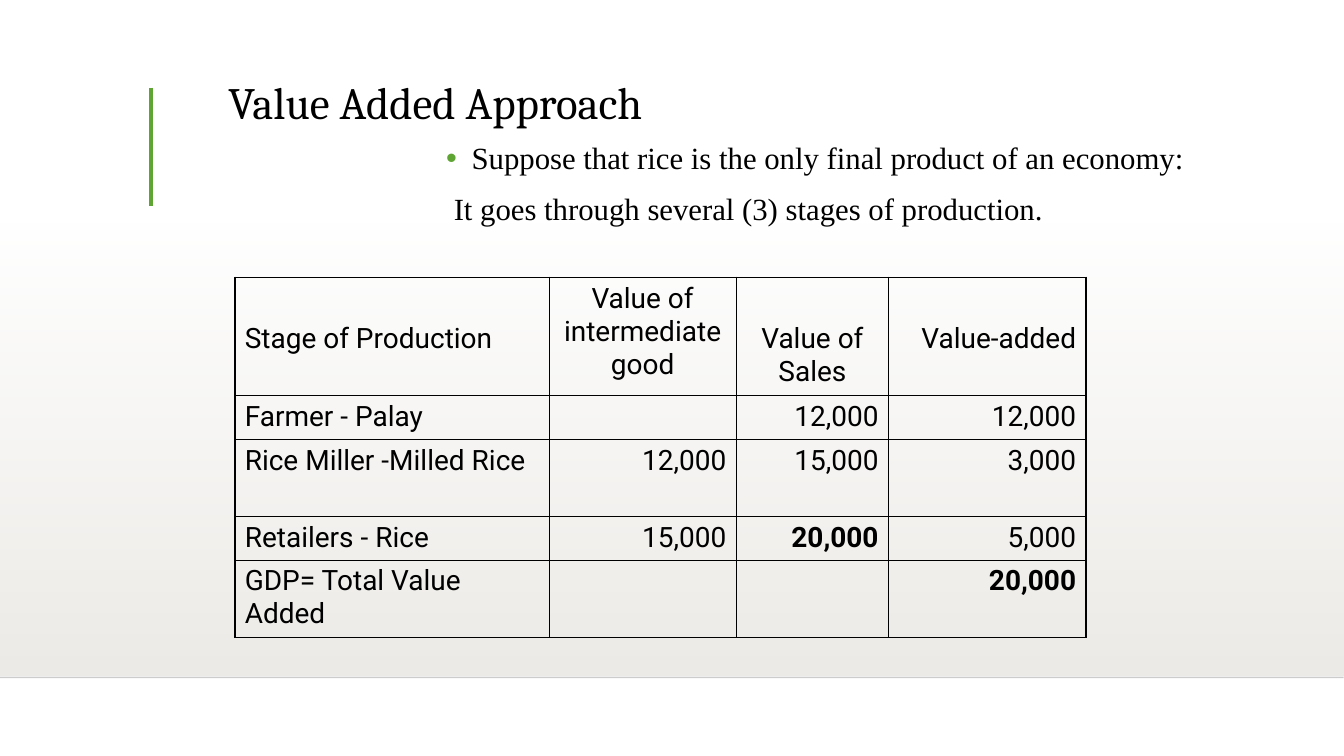
from dataclasses import dataclass
from typing import Any, Optional

import lxml.etree
import pptx
import pptx.dml.color
import pptx.enum.dml
import pptx.enum.shapes
import pptx.enum.text
import pptx.oxml.ns
import pptx.util

Cm = pptx.util.Cm
Pt = pptx.util.Pt
RGB = pptx.dml.color.RGBColor.from_string
qn = pptx.oxml.ns.qn
Align = pptx.enum.text.PP_ALIGN
Anchor = pptx.enum.text.MSO_ANCHOR


@dataclass(frozen=True)
class Theme:
    ink: str = "000000"
    accent: str = "5FA534"
    floor: str = "EDEBE7"
    title_font: str = "Cambria"
    body_font: str = "Times New Roman"
    table_font: str = "Roboto"
    title_size: float = 32
    body_size: float = 22
    table_size: float = 20
    outer_border: float = 1.08
    inner_border: float = 0.45


@dataclass(frozen=True)
class Rule:
    start: tuple[float, float]
    end: tuple[float, float]
    color: str
    width: float
    opacity: Optional[int] = None


@dataclass(frozen=True)
class Line:
    text: str
    font: str
    size: float
    format: dict[str, Any]
    indent: Optional[tuple[float, float]] = None
    bullet: bool = False


@dataclass(frozen=True)
class TextBlock:
    box: tuple[float, float, float, float]
    anchor: Any
    lines: tuple[Line, ...]


@dataclass(frozen=True)
class Entry:
    text: str = ""
    align: Any = Align.RIGHT
    bold: bool = False
    top: float = 0.13


THEME = Theme()
SLIDE_WIDTH, SLIDE_HEIGHT = 33.88, 19.05
LOWERED = 1.14  # top inset of header cells that start on the second line

RULES = (
    Rule((0, 17.07), (33.87, 17.07), THEME.ink, 1, opacity=20),
    Rule((3.81, 2.21), (3.81, 5.18), THEME.accent, 3),
)

TITLE = TextBlock((5.51, -0.43, 22.86, 3.81), Anchor.BOTTOM, (
    Line("Value Added Approach", THEME.title_font, THEME.title_size, {"line_spacing": 0.9}),
))
PREMISE = TextBlock((11, 3.38, 22.86, 2.54), Anchor.TOP, (
    Line("Suppose that rice is the only final product of an economy:",
         THEME.body_font, THEME.body_size, {"alignment": Align.JUSTIFY},
         indent=(0.64, -0.64), bullet=True),
    Line("It goes through several (3) stages of production.",
         THEME.body_font, THEME.body_size,
         {"alignment": Align.JUSTIFY, "space_before": Pt(10)}, indent=(0.83, -0.64)),
))

STAGES_AT = (5.92, 6.99)
COLUMN_WIDTHS = (7.92, 4.72, 3.84, 4.98)
ROW_HEIGHTS = (2.97, 1.09, 1.93, 1.09, 1.96)
STAGES = (
    (Entry("Stage of Production", Align.LEFT, top=LOWERED),
     Entry("Value of intermediate good", Align.CENTER),
     Entry("Value of Sales", Align.CENTER, top=LOWERED),
     Entry("Value-added", top=LOWERED)),
    (Entry("Farmer - Palay", Align.LEFT), Entry(), Entry("12,000"), Entry("12,000")),
    (Entry("Rice Miller -Milled Rice", Align.LEFT),
     Entry("12,000"), Entry("15,000"), Entry("3,000")),
    (Entry("Retailers - Rice", Align.LEFT),
     Entry("15,000"), Entry("20,000", bold=True), Entry("5,000")),
    (Entry("GDP= Total Value Added", Align.LEFT),
     Entry(), Entry(), Entry("20,000", bold=True)),
)


def apply(target: Any, values: dict[str, Any]) -> None:
    for name, value in values.items():
        setattr(target, name, value)


def add_child(parent: Any, tag: str, **attributes: str) -> Any:
    return lxml.etree.SubElement(parent, qn(tag), attributes)


def set_opacity(color: Any, percent: int) -> None:
    add_child(color, "a:alpha", val=str(percent * 1000))


def style_run(run: Any, font: str, size: float, bold: bool = False) -> None:
    apply(run.font, {"name": font, "size": Pt(size), "bold": bold})
    run.font.color.rgb = RGB(THEME.ink)


def draw_backdrop(slide: Any) -> None:
    backdrop = slide.shapes.add_shape(
        pptx.enum.shapes.MSO_SHAPE.RECTANGLE, Cm(0), Cm(5.59), Cm(33.87), Cm(11.43))
    backdrop.shadow.inherit = False
    backdrop.line.fill.background()
    backdrop.fill.gradient()
    backdrop.fill.gradient_angle = 270
    for stop, position in zip(backdrop.fill.gradient_stops, (0, 1)):
        stop.color.rgb = RGB(THEME.floor)
        stop.position = position
    set_opacity(backdrop._element.spPr.find(".//" + qn("a:srgbClr")), 0)


def draw_rule(slide: Any, rule: Rule) -> None:
    connector = slide.shapes.add_connector(
        pptx.enum.shapes.MSO_CONNECTOR.STRAIGHT, *map(Cm, rule.start + rule.end))
    connector.line.color.rgb = RGB(rule.color)
    connector.line.width = Pt(rule.width)
    properties = connector._element.spPr
    if rule.opacity is not None:
        set_opacity(properties.find(".//" + qn("a:srgbClr")), rule.opacity)
    add_child(properties, "a:effectLst")


def draw_text(slide: Any, block: TextBlock) -> None:
    frame = slide.shapes.add_textbox(*map(Cm, block.box)).text_frame
    apply(frame, {"word_wrap": True, "vertical_anchor": block.anchor})
    for index, line in enumerate(block.lines):
        paragraph = frame.add_paragraph() if index else frame.paragraphs[0]
        apply(paragraph, line.format)
        properties = paragraph._p.get_or_add_pPr()
        if line.indent:
            for name, length in zip(("marL", "indent"), line.indent):
                properties.set(name, str(Cm(length)))
        if line.bullet:
            add_child(add_child(properties, "a:buClr"), "a:srgbClr", val=THEME.accent)
            add_child(properties, "a:buFont", typeface="Arial")
            add_child(properties, "a:buChar", char="•")
        run = paragraph.add_run()
        run.text = line.text
        style_run(run, line.font, line.size)


def draw_borders(cell: Any, outer_sides: dict[str, bool]) -> None:
    properties = cell._tc.get_or_add_tcPr()
    for side, is_outer in outer_sides.items():
        width = THEME.outer_border if is_outer else THEME.inner_border
        border = add_child(properties, f"a:ln{side}", w=str(Pt(width)))
        add_child(add_child(border, "a:solidFill"), "a:srgbClr", val=THEME.ink)


def draw_stages(slide: Any) -> None:
    last_row, last_column = len(ROW_HEIGHTS) - 1, len(COLUMN_WIDTHS) - 1
    size = (sum(COLUMN_WIDTHS), sum(ROW_HEIGHTS))
    table = slide.shapes.add_table(
        last_row + 1, last_column + 1, *map(Cm, STAGES_AT + size)).table
    apply(table, {"first_row": False, "horz_banding": False})
    for column, width in zip(table.columns, COLUMN_WIDTHS):
        column.width = Cm(width)
    for row, height in zip(table.rows, ROW_HEIGHTS):
        row.height = Cm(height)
    for r, entries in enumerate(STAGES):
        for c, entry in enumerate(entries):
            cell = table.cell(r, c)
            apply(cell, {"margin_left": Cm(0.25), "margin_right": Cm(0.25),
                         "margin_top": Cm(entry.top), "margin_bottom": Cm(0.13)})
            draw_borders(cell, {"L": c == 0, "R": c == last_column,
                                "T": r == 0, "B": r == last_row})
            cell.fill.background()
            if entry.text:
                paragraph = cell.text_frame.paragraphs[0]
                paragraph.alignment = entry.align
                run = paragraph.add_run()
                run.text = entry.text
                style_run(run, THEME.table_font, THEME.table_size, entry.bold)


def main() -> None:
    deck = pptx.Presentation()
    apply(deck, {"slide_width": Cm(SLIDE_WIDTH), "slide_height": Cm(SLIDE_HEIGHT)})
    slide = deck.slides.add_slide(deck.slide_layouts[6])
    # Backdrop and rules
    draw_backdrop(slide)
    for rule in RULES:
        draw_rule(slide, rule)
    # Title, stages of production, premise
    draw_text(slide, TITLE)
    draw_stages(slide)
    draw_text(slide, PREMISE)
    deck.save("out.pptx")


if __name__ == "__main__":
    main()
